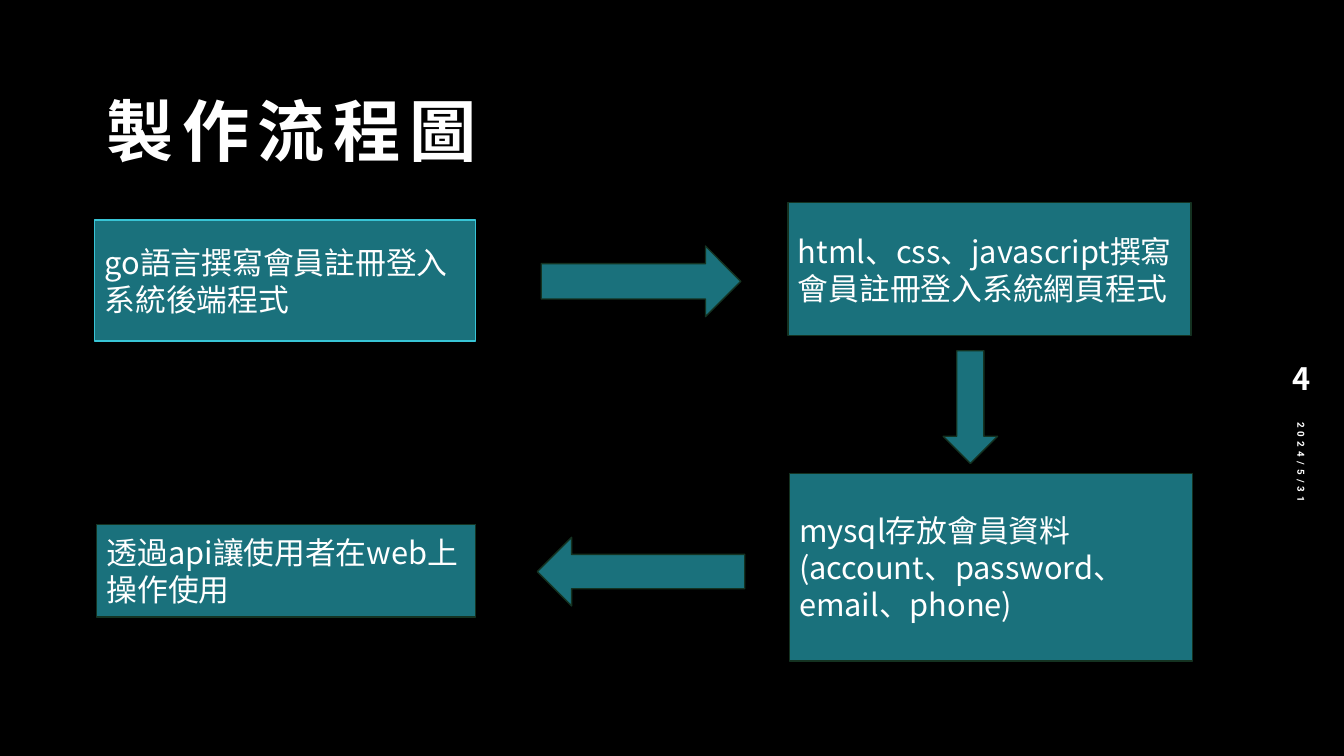
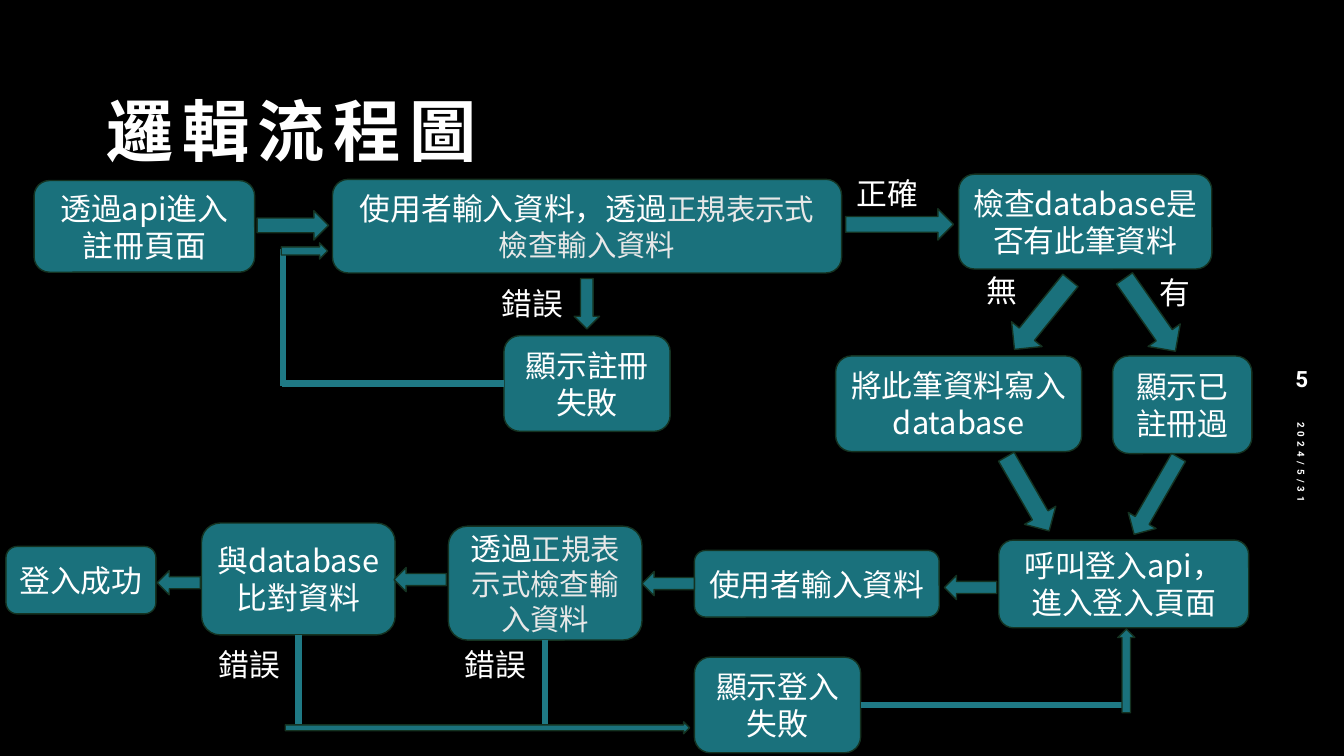
from lxml.etree import SubElement
from pptx import Presentation
from pptx.dml.color import RGBColor
from pptx.enum.shapes import MSO_CONNECTOR, MSO_SHAPE
from pptx.enum.text import MSO_ANCHOR, MSO_AUTO_SIZE, PP_ALIGN
from pptx.oxml.ns import qn
from pptx.util import Cm, Pt

BLACK, WHITE, PALE = "000000", "FFFFFF", "E8E8E8"
TEAL, DARK_EDGE, BRIGHT_EDGE, WIRE = "1A717C", "143221", "38C5D6", "1F7985"
CJK_FONT, LATIN_FONT = "Noto Sans CJK TC", "Roboto"
TOP, LEFT, BOTTOM, RIGHT = range(4)
REGEX_CHECK = "正規表示式檢查輸入資料"


def paint(color_format, color):
    """Set a fill, line fill or font fill to a solid hex colour."""
    color_format.solid()
    color_format.fore_color.rgb = RGBColor.from_string(color)


def add_span(para, text, size=22, font=CJK_FONT, color=WHITE, bold=False, spacing=0):
    """Append one formatted run to a paragraph."""
    span = para.add_run()
    span.text = text
    span.font.size = Pt(size)
    span.font.bold = bold
    span.font.name = font
    paint(span.font.fill, color)
    properties = span._r.get_or_add_rPr()
    SubElement(properties, qn("a:ea")).set("typeface", CJK_FONT)
    if spacing:
        properties.set("spc", str(spacing * 100))


class FlowDeck:
    """Hold the deck style and the slide being drawn."""

    def __init__(self):
        self.deck = Presentation()
        self.deck.slide_width, self.deck.slide_height = Cm(33.87), Cm(19.05)
        paint(self.deck.slide_master.background.fill, BLACK)
        self.page = None

    def start_page(self, title, number, **number_format):
        """Add a titled slide with its page number and date."""
        self.page = self.deck.slides.add_slide(self.deck.slide_layouts[5])
        box = self.page.shapes.title
        box.left, box.top, box.width, box.height = Cm(2.44), Cm(2.03), Cm(25.65), Cm(2.39)
        frame = box.text_frame
        frame.word_wrap = True
        frame.auto_size = MSO_AUTO_SIZE.NONE
        frame.vertical_anchor = MSO_ANCHOR.BOTTOM
        para = frame.paragraphs[0]
        para.alignment = PP_ALIGN.LEFT
        para.line_spacing = 1.2
        add_span(para, title, size=48, bold=True, spacing=6)
        date = self.label("2024/5/31", 29.08, 13.59, 7.42, 1.02, anchor=MSO_ANCHOR.MIDDLE,
                          size=7, font=LATIN_FONT, bold=True, spacing=3)
        date.rotation = 90
        self.label(number, 31.93, 8.94, 1.75, 1.19, anchor=MSO_ANCHOR.MIDDLE,
                   align=PP_ALIGN.CENTER, bold=True, **number_format)

    def label(self, text, left, top, width=2.08, height=1.2, anchor=MSO_ANCHOR.TOP,
              align=PP_ALIGN.LEFT, **text_format):
        """Add a free text box."""
        box = self.page.shapes.add_textbox(Cm(left), Cm(top), Cm(width), Cm(height))
        box.text_frame.word_wrap = True
        box.text_frame.vertical_anchor = anchor
        para = box.text_frame.paragraphs[0]
        para.alignment = align
        add_span(para, text, **text_format)
        return box

    def shape(self, kind, left, top, width, height, edge=DARK_EDGE):
        """Add a teal preset shape."""
        shape = self.page.shapes.add_shape(kind, Cm(left), Cm(top), Cm(width), Cm(height))
        shape.shadow.inherit = False
        paint(shape.fill, TEAL)
        paint(shape.line.fill, edge)
        shape.line.width = Pt(1)
        return shape

    def step(self, text, left, top, width, height, kind=MSO_SHAPE.ROUNDED_RECTANGLE,
             align=PP_ALIGN.CENTER, edge=DARK_EDGE, check=""):
        """Add a flow step, with an optional paler closing run."""
        box = self.shape(kind, left, top, width, height, edge)
        box.text_frame.word_wrap = True
        box.text_frame.vertical_anchor = MSO_ANCHOR.MIDDLE
        para = box.text_frame.paragraphs[0]
        para.alignment = align
        add_span(para, text)
        if check:
            add_span(para, check, size=21, font=LATIN_FONT, color=PALE)
        return box

    def process(self, text, left, top, width, height, edge=DARK_EDGE):
        """Add a square-cornered step with left-aligned text."""
        return self.step(text, left, top, width, height, MSO_SHAPE.FLOWCHART_PROCESS,
                         PP_ALIGN.LEFT, edge)

    def arrow(self, left, top, width, height, kind=MSO_SHAPE.RIGHT_ARROW, turn=0):
        """Add a block arrow."""
        self.shape(kind, left, top, width, height).rotation = turn

    def line(self, start_x, start_y, end_x, end_y):
        """Add a thick straight line between two points."""
        line = self.page.shapes.add_connector(
            MSO_CONNECTOR.STRAIGHT, start_x, start_y, end_x, end_y)
        paint(line.line.fill, WIRE)
        line.line.width = Pt(4.5)
        SubElement(line._element.spPr, qn("a:effectLst"))
        return line

    def wire(self, box, side, length):
        """Run a line straight out from the middle of a box's side."""
        middle_x, middle_y = box.left + box.width // 2, box.top + box.height // 2
        reach = Cm(length)
        start_x, start_y, step_x, step_y = {
            TOP: (middle_x, box.top, 0, -reach),
            LEFT: (box.left, middle_y, -reach, 0),
            BOTTOM: (middle_x, box.top + box.height, 0, reach),
            RIGHT: (box.left + box.width, middle_y, reach, 0),
        }[side]
        line = self.line(start_x, start_y, start_x + step_x, start_y + step_y)
        line.begin_connect(box, side)


def draw_production(flow):
    """Draw the production flow."""
    flow.start_page("製作流程圖", "4", size=22)
    flow.process("go語言撰寫會員註冊登入系統後端程式", 2.39, 5.54, 9.6, 3.05, BRIGHT_EDGE)
    flow.process("mysql存放會員資料(account、password、email、phone)",
                 19.89, 11.94, 10.16, 4.72)
    flow.process("html、css、javascript撰寫會員註冊登入系統網頁程式",
                 19.86, 5.11, 10.16, 3.35)
    flow.process("透過api讓使用者在web上操作使用", 2.44, 13.21, 9.55, 2.34)
    flow.arrow(13.64, 6.2, 5.03, 1.78)
    flow.arrow(23.77, 8.84, 1.37, 2.84, MSO_SHAPE.DOWN_ARROW)
    flow.arrow(13.54, 13.54, 5.23, 1.73, MSO_SHAPE.LEFT_ARROW)


def draw_logic(flow):
    """Draw the registration and login logic."""
    flow.start_page("邏輯流程圖", "5", size=16, font=LATIN_FONT)
    flow.step("透過api進入註冊頁面", 0.86, 4.55, 5.56, 2.31)
    flow.step("使用者輸入資料，透過", 8.38, 4.52, 12.83, 2.36, check=REGEX_CHECK)
    flow.step("檢查database是否有此筆資料", 24.16, 4.39, 6.38, 2.39)
    flow.step("呼叫登入api，進入登入頁面", 25.17, 13.61, 6.3, 2.21)
    flow.step("將此筆資料寫入database", 21.06, 8.97, 6.2, 2.41)
    flow.step("顯示已註冊過", 28.04, 8.97, 3.51, 2.46)
    flow.step("使用者輸入資料", 17.5, 13.87, 6.17, 1.68)
    flow.step("登入成功", 0.15, 13.77, 3.78, 1.7)
    compare = flow.step("與database比對資料", 5.08, 13.18, 4.88, 2.82)
    check = flow.step("透過", 11.3, 13.26, 4.88, 2.87, check=REGEX_CHECK)
    register_failed = flow.step("顯示註冊失敗", 12.7, 8.46, 4.19, 2.41)
    login_failed = flow.step("顯示登入失敗", 17.5, 16.56, 4.19, 2.41)

    flow.wire(register_failed, LEFT, 5.59)
    flow.line(Cm(7.14), Cm(9.72), Cm(7.14), Cm(6.27))
    flow.wire(compare, BOTTOM, 2.39)
    flow.wire(check, BOTTOM, 2.16)
    flow.wire(login_failed, RIGHT, 6.61)

    flow.arrow(6.48, 5.31, 1.8, 0.74)
    flow.arrow(7.09, 6.12, 1.17, 0.41)
    flow.arrow(21.31, 5.26, 2.72, 0.79)
    flow.arrow(7.19, 18.19, 10.19, 0.3)
    flow.arrow(14.47, 7.02, 0.64, 1.27, MSO_SHAPE.DOWN_ARROW)
    flow.arrow(28.17, 15.85, 0.43, 2.11, MSO_SHAPE.UP_ARROW)
    flow.arrow(25.15, 7.44, 2.24, 0.99, turn=129)
    flow.arrow(27.86, 7.44, 2.24, 0.99, turn=55)
    flow.arrow(24.82, 11.99, 2.16, 0.91, turn=60)
    flow.arrow(28.02, 12.09, 2.24, 0.81, turn=120)
    for left, top, width in ((23.8, 14.5, 1.32), (16.18, 14.4, 1.32),
                             (9.93, 14.3, 1.32), (3.96, 14.38, 1.09)):
        flow.arrow(left, top, width, 0.61, MSO_SHAPE.LEFT_ARROW)

    for left, top in ((12.4, 7.04), (5.26, 16.15), (11.46, 16.15)):
        flow.label("錯誤", left, top)
    flow.label("正確", 21.34, 4.27)
    flow.label("無", 24.61, 6.73, width=1.24)
    flow.label("有", 28.98, 6.78, width=1.24)


def main():
    """Build and save the deck."""
    flow = FlowDeck()
    draw_production(flow)
    draw_logic(flow)
    flow.deck.save("out.pptx")


if __name__ == "__main__":
    main()
